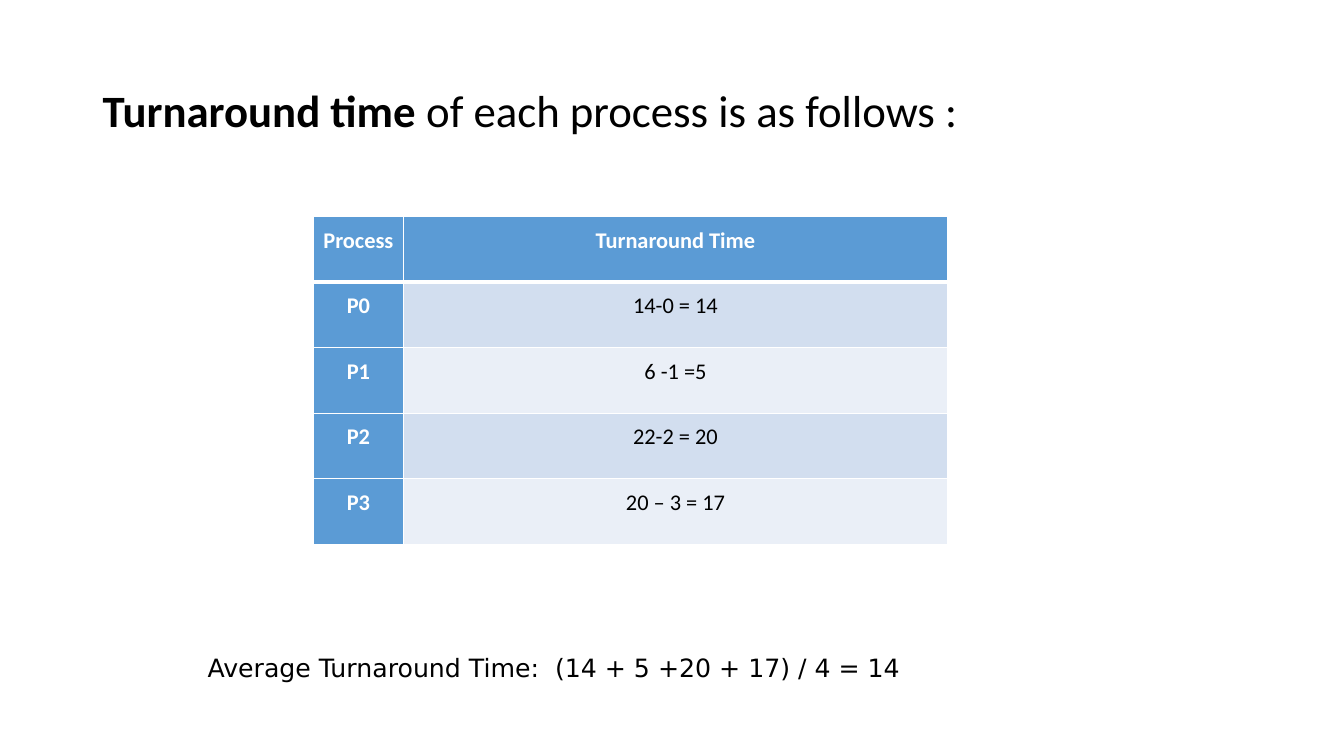
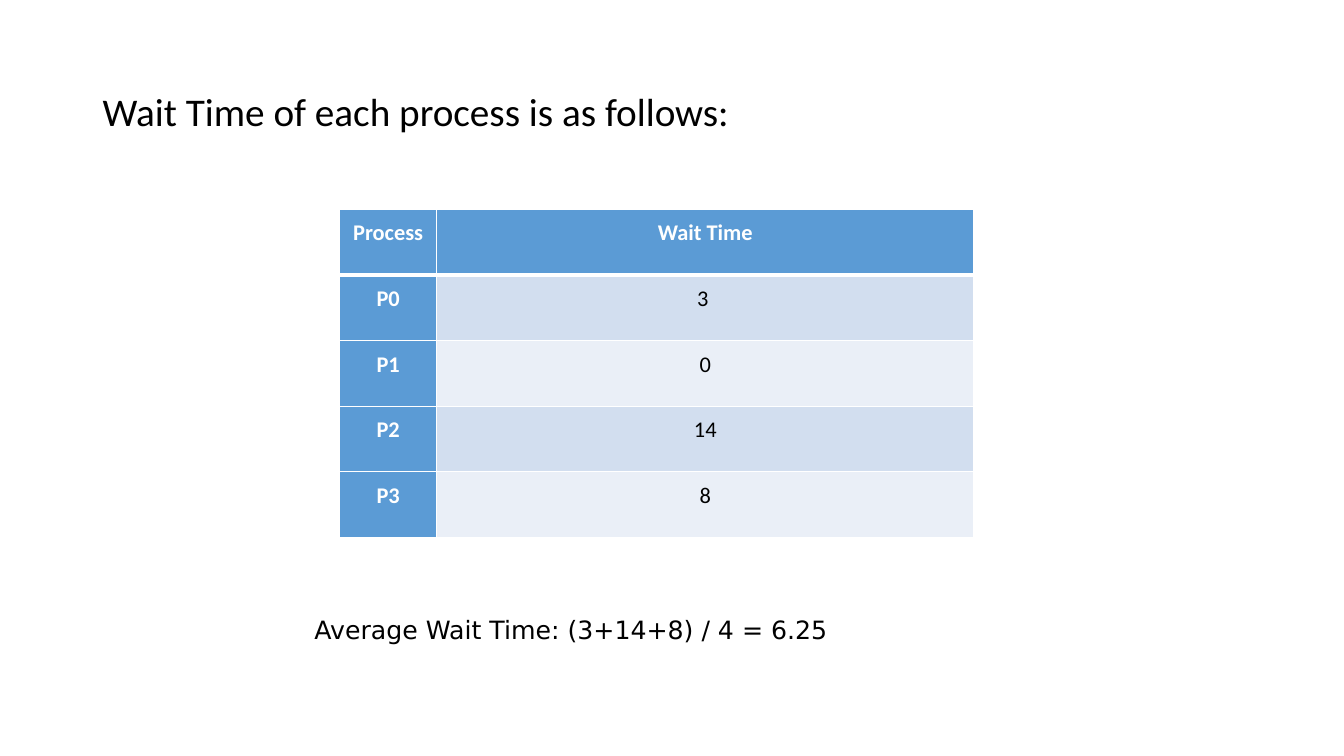
"""Build two slides on turnaround time and wait time of scheduled processes."""
from lxml.etree import SubElement
from pptx import Presentation
from pptx.dml.color import RGBColor
from pptx.enum.text import MSO_ANCHOR as Anchor, PP_ALIGN as Align
from pptx.oxml.ns import qn
from pptx.util import Inches, Pt

BLACK = RGBColor(0x00, 0x00, 0x00)
WHITE = RGBColor(0xFF, 0xFF, 0xFF)
BLUE = RGBColor(0x5B, 0x9B, 0xD5)
BANDS = [RGBColor(0xD2, 0xDE, 0xEF), RGBColor(0xEA, 0xEF, 0xF7)]

TITLE_FONT, AVERAGE_FONT = "Calibri", "DejaVu Sans"
TITLE_AREA = (0.92, 0.4, 11.5, 1.45)
TABLE_WIDTH, ROW_HEIGHT, CELL_MARGIN = 6.29, 0.65, 0.08
THIN, THICK = 1, 3

SLIDES = [
    {
        "title": [("Turnaround time", True), (" of each process is as follows :", False)],
        "title_size": 32,
        "table_at": (3.11, 2.15),
        "first_column": 0.89,
        "rows": [
            ("Process", "Turnaround Time"),
            ("P0", "14-0 = 14"),
            ("P1", "6 -1 =5"),
            ("P2", "22-2 = 20"),
            ("P3", "20 – 3 = 17"),
        ],
        "average": "Average Turnaround Time:  (14 + 5 +20 + 17) / 4 = 14",
        "average_area": (1.96, 6.47, 7.42, 0.35),
        "average_spacing": Pt(18),
    },
    {
        "title": [("Wait Time of each process is as follows:", False)],
        "title_size": 28,
        "table_at": (3.37, 2.08),
        "first_column": 0.96,
        "rows": [
            ("Process", "Wait Time"),
            ("P0", "3 "),
            ("P1", "0"),
            ("P2", "14"),
            ("P3", "8"),
        ],
        "average": "Average Wait Time: (3+14+8) / 4 = 6.25",
        "average_area": (3.02, 6.05, 5.49, 0.4),
        "average_spacing": 1.0,
    },
]


def add_span(para, text, font, size, color=BLACK, bold=False):
    span = para.add_run()
    span.text = text
    span.font.name, span.font.size, span.font.bold = font, Pt(size), bold
    span.font.color.rgb = color


def add_text(page, area, spans, font, size, spacing, anchor=Anchor.TOP):
    frame = page.shapes.add_textbox(*map(Inches, area)).text_frame
    frame.word_wrap = True
    frame.vertical_anchor = anchor
    para = frame.paragraphs[0]
    para.line_spacing = spacing
    for text, bold in spans:
        add_span(para, text, font, size, bold=bold)


def add_borders(cell, row):
    widths = {
        "a:lnL": THIN,
        "a:lnR": THIN,
        "a:lnT": THICK if row == 1 else THIN,
        "a:lnB": THICK if row == 0 else THIN,
    }
    properties = cell._tc.get_or_add_tcPr()
    for side, width in widths.items():
        line = SubElement(properties, qn(side), w=str(Pt(width)))
        fill = SubElement(line, qn("a:solidFill"))
        SubElement(fill, qn("a:srgbClr"), val=str(WHITE))


def fill_cell(cell, text, row, column):
    heading = row == 0 or column == 0
    add_borders(cell, row)
    cell.fill.solid()
    cell.fill.fore_color.rgb = BLUE if heading else BANDS[(row - 1) % 2]
    cell.margin_left = cell.margin_right = Inches(CELL_MARGIN)
    cell.margin_top = cell.margin_bottom = Inches(CELL_MARGIN)
    para = cell.text_frame.paragraphs[0]
    para.alignment = Align.CENTER
    para.line_spacing, para.space_after = 1.07, Pt(15)
    add_span(para, text, TITLE_FONT, 16, WHITE if heading else BLACK, heading)


def add_process_table(page, at, first_column, rows):
    size = (TABLE_WIDTH, ROW_HEIGHT * len(rows))
    table = page.shapes.add_table(len(rows), 2, *map(Inches, at + size)).table
    table.first_row = table.horz_banding = False
    for column, width in zip(table.columns, (first_column, TABLE_WIDTH - first_column)):
        column.width = Inches(width)
    for row, texts in enumerate(rows):
        for column, text in enumerate(texts):
            fill_cell(table.cell(row, column), text, row, column)


def main():
    deck = Presentation()
    deck.slide_width, deck.slide_height = Inches(13.33), Inches(7.5)
    for content in SLIDES:
        page = deck.slides.add_slide(deck.slide_layouts[6])
        add_text(page, TITLE_AREA, content["title"], TITLE_FONT,
                 content["title_size"], 0.9, Anchor.MIDDLE)
        add_process_table(page, content["table_at"], content["first_column"], content["rows"])
        add_text(page, content["average_area"], [(content["average"], False)],
                 AVERAGE_FONT, 18, content["average_spacing"])
    deck.save("out.pptx")


if __name__ == "__main__":
    main()
